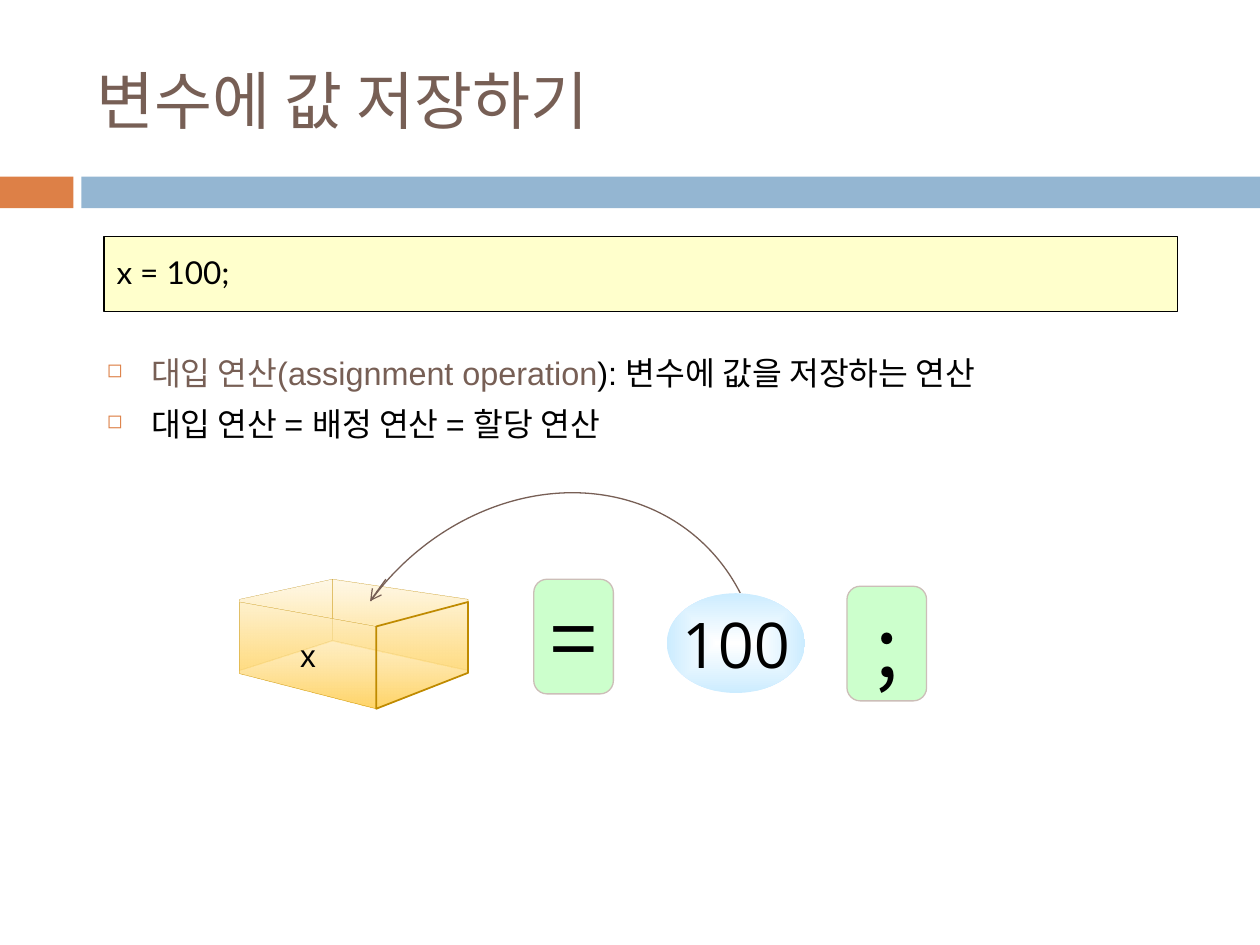
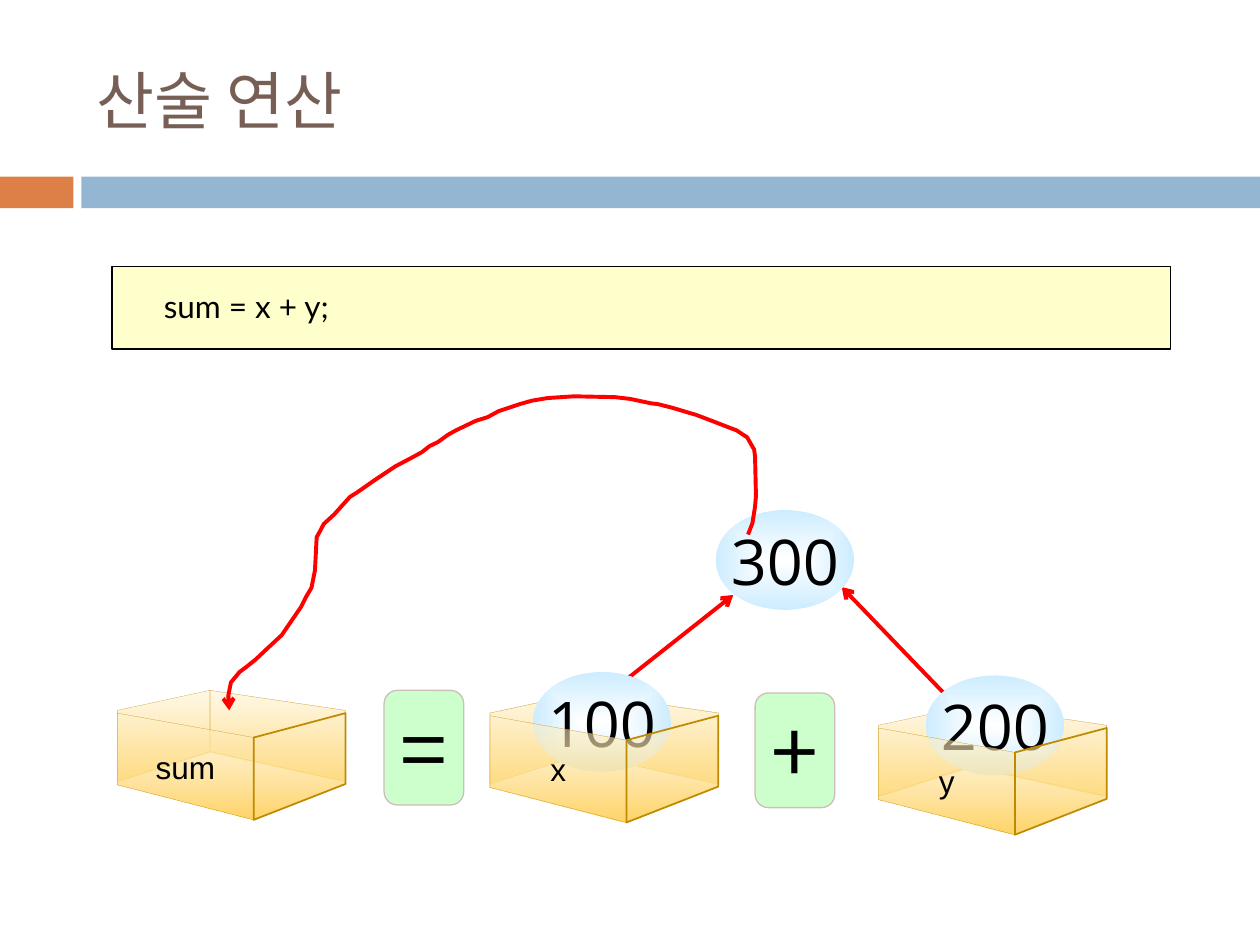
from dataclasses import dataclass

from lxml import etree
from pptx import Presentation
from pptx.dml.color import RGBColor as RGB
from pptx.enum.shapes import MSO_CONNECTOR as CONN, MSO_SHAPE as SHAPE
from pptx.enum.text import MSO_ANCHOR as ANCHOR, PP_ALIGN as ALIGN
from pptx.oxml import parse_xml
from pptx.oxml.ns import nsdecls, qn
from pptx.util import Pt


@dataclass(frozen=True)
class Theme:
    accent: str = "DD8047"
    band: str = "94B6D2"
    brown: str = "775F55"
    ink: str = "000000"
    code_fill: str = "FFFFCC"
    op_fill: str = "CCFFCC"
    op_line: str = "CCBEB8"
    ball_in: str = "FFFFFF"
    ball_out: str = "CCECFF"
    box_top: str = "FFF1CC"
    box_bottom: str = "FFD466"
    box_line: str = "BF8A00"
    flow: str = "FF0000"
    body_font: str = "Arial"
    code_font: str = "Lato"
    number_font: str = "Open Sans"
    korean_font: str = "Noto Sans CJK KR"
    title_size: float = 36
    op_size: float = 48
    body_size: float = 18.5
    label_size: float = 18


T = Theme()

# Faces of the open box, relative to the top left corner of its front
BACK_RIGHT = [(53, -13), (53, 22), (130.5, 39), (130.5, -1.5)]
BACK_LEFT = [(0, 39), (53, 22), (53, -13), (0, -1.5)]
FRONT = [(0, 0), (0, 41), (4, 42), (78, 61), (78, 14)]
SIDE = [(78, 61), (130.5, 40.5), (130.5, 0), (78, 14)]

# Hand-drawn route from the result to the sum box
RESULT_ROUTE = [
    (427.5, 305.5), (430, 299), (431.5, 289.5), (432, 283.5), (431.5, 261),
    (431, 257), (427, 250), (421, 246), (417, 244.5), (408, 241),
    (397.5, 237), (394, 236), (384, 233), (376, 231), (372, 230.5),
    (360, 228), (351.5, 227), (328, 226.5), (313, 227.5), (304, 229),
    (297, 231), (285, 235), (278.5, 238.5), (272, 240.5), (260.5, 246),
    (256, 248.5), (250.5, 252.5), (245.5, 255), (241, 258.5), (235.5, 261.5),
    (226, 266.5), (214, 274.5), (204, 281.5), (200, 284), (191, 294),
    (185, 299.5), (183.5, 302.5), (181, 307), (180, 326), (178, 336),
    (175, 341), (172, 347), (161, 363), (154, 369.5), (146, 377),
    (141, 381), (137, 384), (132, 390), (130.5, 397.5), (131, 406),
]


# Text and styling helpers
def add_run(p, text, font, size, color=T.ink):
    r = p.add_run()
    r.text = text
    r.font.name = font
    r.font.size = Pt(size)
    r.font.color.rgb = RGB.from_string(color)


def center_text(sp, text, font, size):
    tf = sp.text_frame
    tf.vertical_anchor = ANCHOR.MIDDLE
    p = tf.paragraphs[0]
    p.alignment = ALIGN.CENTER
    add_run(p, text, font, size)


def style(sp, fill=None, line=None, width=0.75):
    sp.shadow.inherit = False
    if fill:
        sp.fill.solid()
        sp.fill.fore_color.rgb = RGB.from_string(fill)
    else:
        sp.fill.background()
    if line:
        sp.line.color.rgb = RGB.from_string(line)
        sp.line.width = Pt(width)
    else:
        sp.line.fill.background()


def set_gradient(sp, start, end, direction, alpha=100):
    sp.fill.gradient()
    old = sp._element.spPr.find(qn("a:gradFill"))
    new = parse_xml(
        f'<a:gradFill {nsdecls("a")} rotWithShape="1"><a:gsLst>'
        f'<a:gs pos="0"><a:srgbClr val="{start}"><a:alpha val="{alpha * 1000}"/></a:srgbClr></a:gs>'
        f'<a:gs pos="100000"><a:srgbClr val="{end}"/></a:gs>'
        f'</a:gsLst>{direction}</a:gradFill>')
    old.getparent().replace(old, new)


def add_arrowhead(sp):
    ln = sp._element.spPr.find(qn("a:ln"))
    etree.SubElement(ln, qn("a:tailEnd"), type="arrow")


# Drawing elements
def add_preset(s, kind, x, y, w, h, **look):
    sp = s.shapes.add_shape(kind, Pt(x), Pt(y), Pt(w), Pt(h))
    style(sp, **look)
    return sp


def add_outline(s, points, close, **look):
    points = [(Pt(x), Pt(y)) for x, y in points]
    builder = s.shapes.build_freeform(*points[0], scale=1.0)
    builder.add_line_segments(points[1:], close=close)
    sp = builder.convert_to_shape()
    style(sp, **look)
    return sp


def add_arrow(s, start, end, color, width):
    c = s.shapes.add_connector(CONN.STRAIGHT, *map(Pt, start + end))
    c.line.color.rgb = RGB.from_string(color)
    c.line.width = Pt(width)
    add_arrowhead(c)
    etree.SubElement(c._element.spPr, qn("a:effectLst"))


def add_face(s, x, y, face, width=0.1):
    sp = add_outline(s, [(x + dx, y + dy) for dx, dy in face], True,
                     line=T.box_line, width=width)
    set_gradient(sp, T.box_top, T.box_bottom, '<a:lin ang="5400000" scaled="0"/>', alpha=50)
    return sp


def add_box_back(s, x, y):
    add_face(s, x, y, BACK_RIGHT)
    add_face(s, x, y, BACK_LEFT)


def add_box_front(s, x, y, name):
    center_text(add_face(s, x, y, FRONT), name, T.body_font, T.label_size)
    add_face(s, x, y, SIDE, width=1)


def add_ball(s, x, y, number):
    sp = add_preset(s, SHAPE.OVAL, x, y, 79, 57)
    set_gradient(sp, T.ball_in, T.ball_out,
                 '<a:path path="shape"><a:fillToRect l="50000" t="50000" r="50000" b="50000"/></a:path>')
    center_text(sp, number, T.number_font, T.title_size)
    sp.text_frame.word_wrap = False


def add_operator(s, x, y, sign):
    sp = add_preset(s, SHAPE.ROUNDED_RECTANGLE, x, y, 45.5, 65.5,
                    fill=T.op_fill, line=T.op_line)
    center_text(sp, sign, T.korean_font, T.op_size)


def add_code(s, x, y, w, h, code, indent=0):
    sp = add_preset(s, SHAPE.RECTANGLE, x, y, w, h, fill=T.code_fill, line=T.ink)
    tf = sp.text_frame
    tf.vertical_anchor = ANCHOR.MIDDLE
    p = tf.paragraphs[0]
    p.alignment = ALIGN.LEFT
    p.line_spacing = 0.9
    p.space_before = Pt(3.6)
    p._p.get_or_add_pPr().set("marL", str(Pt(indent)))
    add_run(p, code, T.code_font, T.label_size)


def add_bullets(s, x, y, w, h, items):
    tf = s.shapes.add_textbox(Pt(x), Pt(y), Pt(w), Pt(h)).text_frame
    tf.word_wrap = True
    for i, runs in enumerate(items):
        p = tf.add_paragraph() if i else tf.paragraphs[0]
        p.space_before = Pt(7)
        pPr = p._p.get_or_add_pPr()
        pPr.set("marL", str(Pt(25.2)))
        pPr.set("indent", str(-Pt(25.2)))
        color = etree.SubElement(pPr, qn("a:buClr"))
        etree.SubElement(color, qn("a:srgbClr"), val=T.accent)
        etree.SubElement(pPr, qn("a:buSzPct"), val="60000")
        etree.SubElement(pPr, qn("a:buChar"), char="◻")
        for text, ink in runs:
            add_run(p, text, T.body_font, T.body_size, ink)


# Shared frame: bands and title
def new_slide(prs, title, font):
    s = prs.slides.add_slide(prs.slide_layouts[5])
    add_preset(s, SHAPE.RECTANGLE, 0, 101, 42, 18, fill=T.accent)
    add_preset(s, SHAPE.RECTANGLE, 46.5, 101, 673.5, 18, fill=T.band)
    ph = s.shapes.title
    ph.left, ph.top, ph.width, ph.height = Pt(48), Pt(18), Pt(642), Pt(78)
    tf = ph.text_frame
    tf.vertical_anchor = ANCHOR.MIDDLE
    p = tf.paragraphs[0]
    p.alignment = ALIGN.LEFT
    add_run(p, title, font, T.title_size, T.brown)
    return s


def build_assignment(prs):
    s = new_slide(prs, "변수에 값 저장하기", T.korean_font)
    add_bullets(s, 54, 198, 646.5, 57, [
        [("대입 연산(assignment operation", T.brown), ("): 변수에 값을 저장하는 연산", T.ink)],
        [("대입 연산 = 배정 연산 = 할당 연산", T.ink)],
    ])
    add_code(s, 59.5, 135, 613.5, 43, "x = 100;")

    # x = 100 ;
    box = (137, 344)
    add_box_back(s, *box)
    add_operator(s, 305, 331, "=")
    add_operator(s, 484, 335, ";")

    # Arc that carries the value into the box
    arc = add_preset(s, SHAPE.ARC, 171.5, 293, 275, 237.5, line=T.brown)
    arc.rotation = 309.6
    for i, degrees in enumerate((265.5, 17.8)):
        arc.adjustments[i] = degrees * 0.6
    add_arrow(s, (220.5, 331), (211.5, 343.5), T.brown, 0.75)

    add_ball(s, 381, 339, "100")
    add_box_front(s, *box, "x")


def build_arithmetic(prs):
    s = new_slide(prs, "산술 연산", "Calibri")
    add_code(s, 64, 152.5, 605, 47, "sum = x + y;", indent=22.5)

    # Operands flow into the result
    add_arrow(s, (546, 403), (481, 335.5), T.flow, 2.25)
    add_arrow(s, (350, 394.5), (419, 340), T.flow, 2.25)
    add_operator(s, 219.5, 394.5, "=")
    add_operator(s, 431.5, 396, "+")
    add_ball(s, 409, 291.5, "300")

    # Boxes, each with the value it holds
    for name, x, y, held in [
        ("sum", 67, 407.5, None),
        ("y", 502, 416, (529, 386, "200")),
        ("x", 280, 409, (304.5, 384, "100")),
    ]:
        add_box_back(s, x, y)
        if held:
            add_ball(s, *held)
        add_box_front(s, x, y, name)

    # Result goes to the sum box
    route = add_outline(s, RESULT_ROUTE, False, line=T.flow, width=2.25)
    add_arrowhead(route)


def main():
    prs = Presentation()
    prs.slide_width, prs.slide_height = Pt(720), Pt(540)
    build_assignment(prs)
    build_arithmetic(prs)
    prs.save("out.pptx")


if __name__ == "__main__":
    main()
